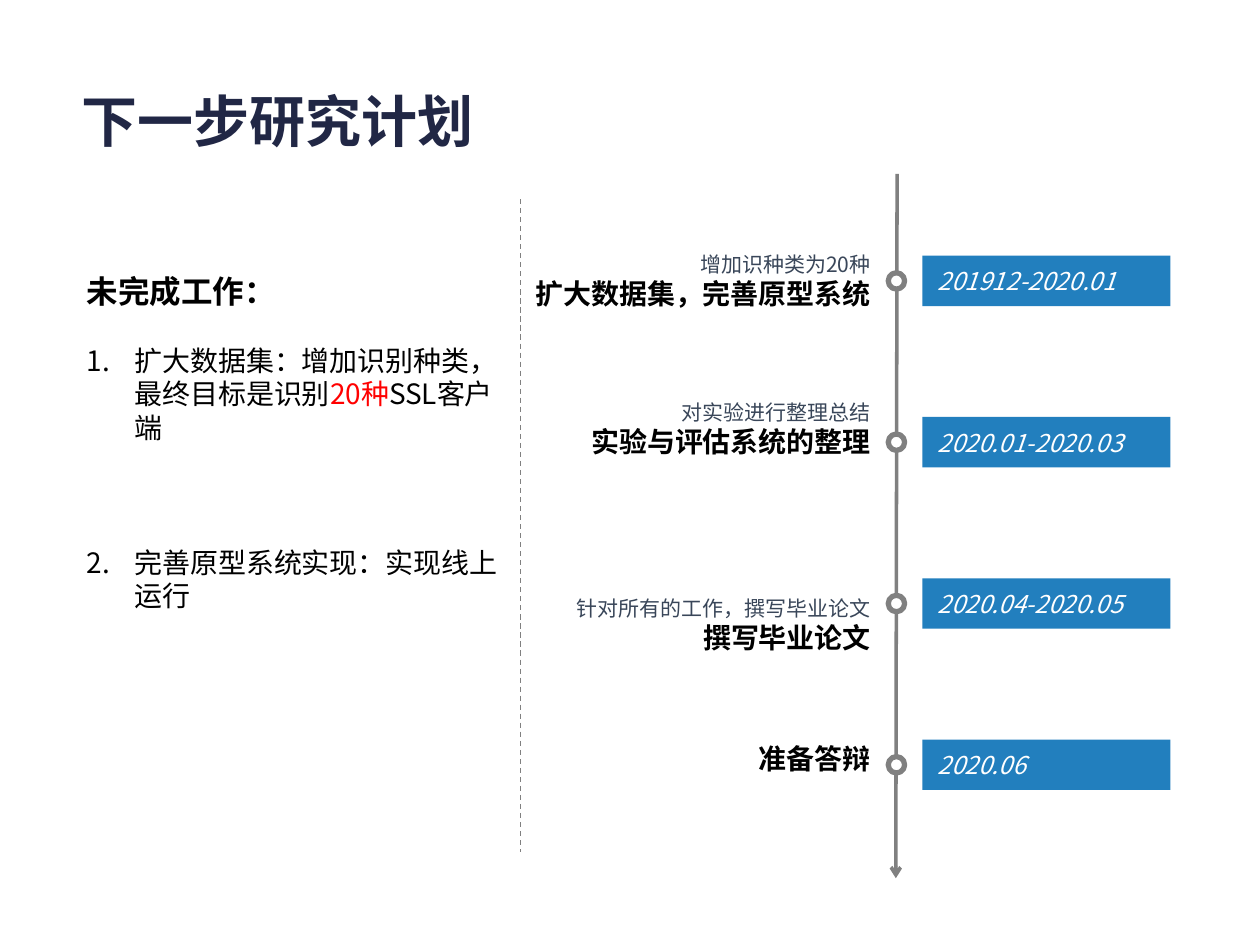
from lxml import etree
from pptx import Presentation
from pptx.dml.color import RGBColor
from pptx.enum.dml import MSO_LINE
from pptx.enum.shapes import MSO_CONNECTOR, MSO_SHAPE
from pptx.enum.text import MSO_ANCHOR, MSO_AUTO_SIZE, PP_ALIGN
from pptx.oxml.ns import qn
from pptx.util import Emu, Inches, Pt

STRAIGHT = MSO_CONNECTOR.STRAIGHT
DASH = MSO_LINE.DASH
RECT, OVAL = MSO_SHAPE.RECTANGLE, MSO_SHAPE.OVAL
MIDDLE = MSO_ANCHOR.MIDDLE
LEFT, CENTER, RIGHT = PP_ALIGN.LEFT, PP_ALIGN.CENTER, PP_ALIGN.RIGHT
GROW = MSO_AUTO_SIZE.SHAPE_TO_FIT_TEXT

theme = {
    "latin": "Arial", "sans": "Noto Sans CJK SC",
    "navy": "212745", "blue": "227FBE", "gray": "808080", "slate": "394659",
    "black": "000000", "white": "FFFFFF", "red": "FF0000",
    "title": 32, "head": 18, "body": 16, "date": 14, "note": 12,
}

deck = Presentation()
deck.slide_width, deck.slide_height = Inches(10), Inches(7.5)
slide = deck.slides.add_slide(deck.slide_layouts[6])
shapes = slide.shapes
col, row = deck.slide_width / 100, deck.slide_height / 75


def grid(x, y, w, h):
    return Emu(round(x * col)), Emu(round(y * row)), Emu(round(w * col)), Emu(round(h * row))


def style(run, size, color, bold=False, italic=False, face="sans"):
    font = run.font
    font.name, font.size = theme[face], Pt(theme[size])
    font.bold, font.italic = bold, italic
    font.color.rgb = RGBColor.from_string(theme[color])
    asian = etree.SubElement(run._r.get_or_add_rPr(), qn("a:ea"))
    asian.set("typeface", theme["sans"])


title = shapes.add_textbox(*grid(-5.1, 6, 54.3, 7.1)).text_frame
title.word_wrap, title.vertical_anchor = True, MIDDLE
title.text = "下一步研究计划"
title.paragraphs[0].alignment = CENTER
style(title.paragraphs[0].runs[0], "title", "navy", bold=True, face="latin")

group = shapes.add_group_shape()
rule = shapes.add_connector(STRAIGHT, *grid(41.3, 15.8, 41.3, 67.6))
axis = group.shapes.add_connector(STRAIGHT, *grid(71.2, 13.8, 71.1, 69.7))
for line, width in ((rule, 0.75), (axis, 2)):
    line.line.color.rgb = RGBColor.from_string(theme["gray"])
    line.line.width = Pt(width)
    etree.SubElement(line._element.spPr, qn("a:effectLst"))
rule.line.dash_style = DASH
etree.SubElement(axis.line._get_or_add_ln(), qn("a:tailEnd")).set("type", "arrow")

steps = [
    ("201912-2020.01", 0, "增加识种类为20种", "扩大数据集，完善原型系统"),
    ("2020.01-2020.03", -1.1, "对实验进行整理总结", "实验与评估系统的整理"),
    ("2020.04-2020.05", 1.7, "针对所有的工作，撰写毕业论文", "撰写毕业论文"),
    ("2020.06", -0.5, "", "准备答辩"),
]
first, pitch = 22.3, 12.8
for i, (date, shift, note, task) in enumerate(steps):
    mid = first + i * pitch

    bar = shapes.add_shape(RECT, *grid(73.2, mid - 2, 19.7, 4))
    dot = group.shapes.add_shape(OVAL, *grid(70.5, mid - 0.65, 1.3, 1.3))
    for shape, fill in ((bar, "blue"), (dot, "white")):
        shape.shadow.inherit = False
        shape.fill.solid()
        shape.fill.fore_color.rgb = RGBColor.from_string(theme[fill])
    bar.line.fill.background()
    dot.line.color.rgb = RGBColor.from_string(theme["gray"])
    dot.line.width = Pt(3)

    frame = bar.text_frame
    frame.margin_left = frame.margin_right = Inches(0.12)
    frame.margin_top = frame.margin_bottom = 0
    frame.vertical_anchor = MIDDLE
    frame.text = date
    frame.paragraphs[0].alignment = LEFT
    style(frame.paragraphs[0].runs[0], "date", "white", italic=True)

    label = shapes.add_textbox(*grid(41.3, mid + shift - 4.1, 27.8, 8.2)).text_frame
    label.margin_left = label.margin_right = label.margin_top = label.margin_bottom = 0
    label.word_wrap, label.vertical_anchor = True, MIDDLE
    label.text = f"{note}\n{task}" if note else task
    for para in label.paragraphs:
        para.alignment = RIGHT
    if note:
        style(label.paragraphs[0].runs[0], "note", "slate")
    style(label.paragraphs[-1].runs[0], "body", "black", bold=True)

work = shapes.add_textbox(*grid(5.9, 21.1, 35, 28.3)).text_frame
work.word_wrap, work.auto_size = True, GROW
work.text = "未完成工作："
style(work.paragraphs[0].runs[0], "head", "black", bold=True)

items = [
    (19, [("扩大数据集：增加识别种类，最终目标是识别", "black"), ("20种", "red"), ("SSL客户端", "black")]),
    (58, [("完善原型系统实现：实现线上运行", "black")]),
]
for gap, parts in items:
    para = work.add_paragraph()
    para.level = 1
    para.space_before = Pt(gap)
    props = para._p.get_or_add_pPr()
    props.set("marL", str(Inches(0.38)))
    props.set("indent", str(-Inches(0.38)))
    etree.SubElement(props, qn("a:buFont")).set("typeface", theme["sans"])
    etree.SubElement(props, qn("a:buAutoNum")).set("type", "arabicPeriod")
    for text, color in parts:
        run = para.add_run()
        run.text = text
        style(run, "body", color)

deck.save("out.pptx")
